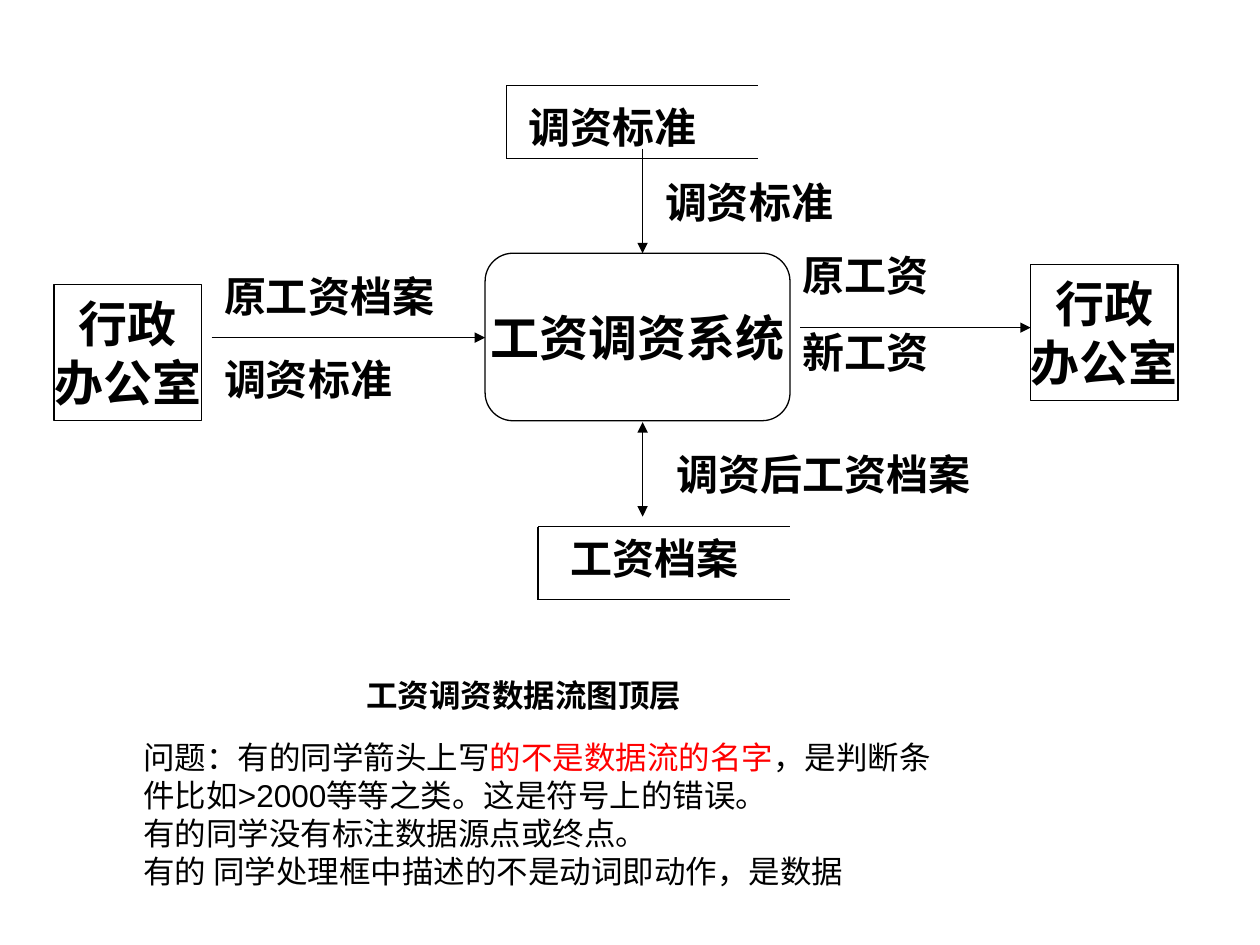
from lxml import etree
from pptx import Presentation
from pptx.dml.color import RGBColor
from pptx.enum.shapes import MSO_CONNECTOR, MSO_SHAPE
from pptx.enum.text import MSO_ANCHOR, PP_ALIGN
from pptx.oxml.ns import qn
from pptx.util import Inches, Pt

BLACK = RGBColor(0, 0, 0)
WHITE = RGBColor(255, 255, 255)
RED = RGBColor(255, 0, 0)
FONT = "Arial"
LINE_W = 0.74
STORE_W, STORE_H = 2, 0.58
OFFICE_W, OFFICE_H = 1.17, 1.08

OFFICE = ["行政", "办公室"]
offices = [(8.18, 2.1), (0.43, 2.26)]
system = (3.85, 2.01, 2.42, 1.33)
stores = [(4.02, 0.68), (4.27, 4.18)]
flows = [
    ((1.68, 2.68), (3.85, 2.68), ["tailEnd"]),
    ((6.35, 2.6), (8.18, 2.6), ["tailEnd"]),
    ((5.1, 3.35), (5.1, 4.1), ["headEnd", "tailEnd"]),
    ((5.1, 1.18), (5.1, 2.01), ["tailEnd"]),
]
labels = [
    (1.68, 2.1, 2, 0.5, ["原工资档案"]),
    (1.68, 2.76, 2, 0.5, ["调资标准"]),
    (6.27, 1.93, 2, 1.11, ["原工资", "新工资"]),
    (4.43, 4.18, 2, 0.5, ["工资档案"]),
    (5.27, 3.51, 4.08, 0.5, ["调资后工资档案"]),
    (4.1, 0.76, 2, 0.5, ["调资标准"]),
    (5.18, 1.35, 2, 0.5, ["调资标准"]),
]
caption = "工资调资数据流图顶层"
notes = [
    [("问题：有的同学箭头上写", BLACK), ("的不是数据流的名字", RED),
     ("，是判断条件比如>2000等等之类。这是符号上的错误。", BLACK)],
    [("有的同学没有标注数据源点或终点。", BLACK)],
    [("有的 同学处理框中描述的不是动词即动作，是数据", BLACK)],
]

prs = Presentation()
prs.slide_width, prs.slide_height = Inches(10), Inches(7.5)
s = prs.slides.add_slide(prs.slide_layouts[6])


def plain(lines):
    return [[(text, BLACK)] for text in lines]


def fill_text(tf, paragraphs, size, bold=True, align=PP_ALIGN.LEFT, before=0):
    for i, runs in enumerate(paragraphs):
        p = tf.add_paragraph() if i else tf.paragraphs[0]
        p.alignment = align
        p.space_before = Pt(before)
        for text, color in runs:
            r = p.add_run()
            r.text = text
            r.font.name, r.font.size, r.font.bold = FONT, Pt(size), bold
            r.font.color.rgb = color


def add_line(start, end, heads=()):
    c = s.shapes.add_connector(MSO_CONNECTOR.STRAIGHT, *map(Inches, start + end))
    c.line.color.rgb = BLACK
    c.line.width = Pt(LINE_W)
    ln = c.line._get_or_add_ln()
    for head in heads:
        etree.SubElement(ln, qn("a:" + head), type="triangle")
    etree.SubElement(c._element.spPr, qn("a:effectLst"))


def add_box(kind, box, lines):
    sp = s.shapes.add_shape(kind, *map(Inches, box))
    sp.shadow.inherit = False
    sp.fill.solid()
    sp.fill.fore_color.rgb = WHITE
    sp.line.color.rgb = BLACK
    sp.line.width = Pt(LINE_W)
    tf = sp.text_frame
    tf.word_wrap = False
    tf.vertical_anchor = MSO_ANCHOR.MIDDLE
    fill_text(tf, plain(lines), 28, align=PP_ALIGN.CENTER)


def add_text(box, paragraphs, size, **style):
    tf = s.shapes.add_textbox(*map(Inches, box)).text_frame
    tf.word_wrap = True
    fill_text(tf, paragraphs, size, **style)


for x, y in stores:
    right, bottom = x + STORE_W, y + STORE_H
    add_line((x, y), (right, y))
    add_line((x, y), (x, bottom))
    add_line((x, bottom), (right, bottom))

for x, y in offices:
    add_box(MSO_SHAPE.RECTANGLE, (x, y, OFFICE_W, OFFICE_H), OFFICE)
add_box(MSO_SHAPE.ROUNDED_RECTANGLE, system, ["工资调资系统"])

for flow in flows:
    add_line(*flow)
for *box, lines in labels:
    add_text(box, plain(lines), 24, before=15)

add_text((2.81, 5.32, 3.73, 0.4), plain([caption]), 18)
add_text((1.04, 5.81, 6.64, 1.3), notes, 18, bold=False)

prs.save("out.pptx")
